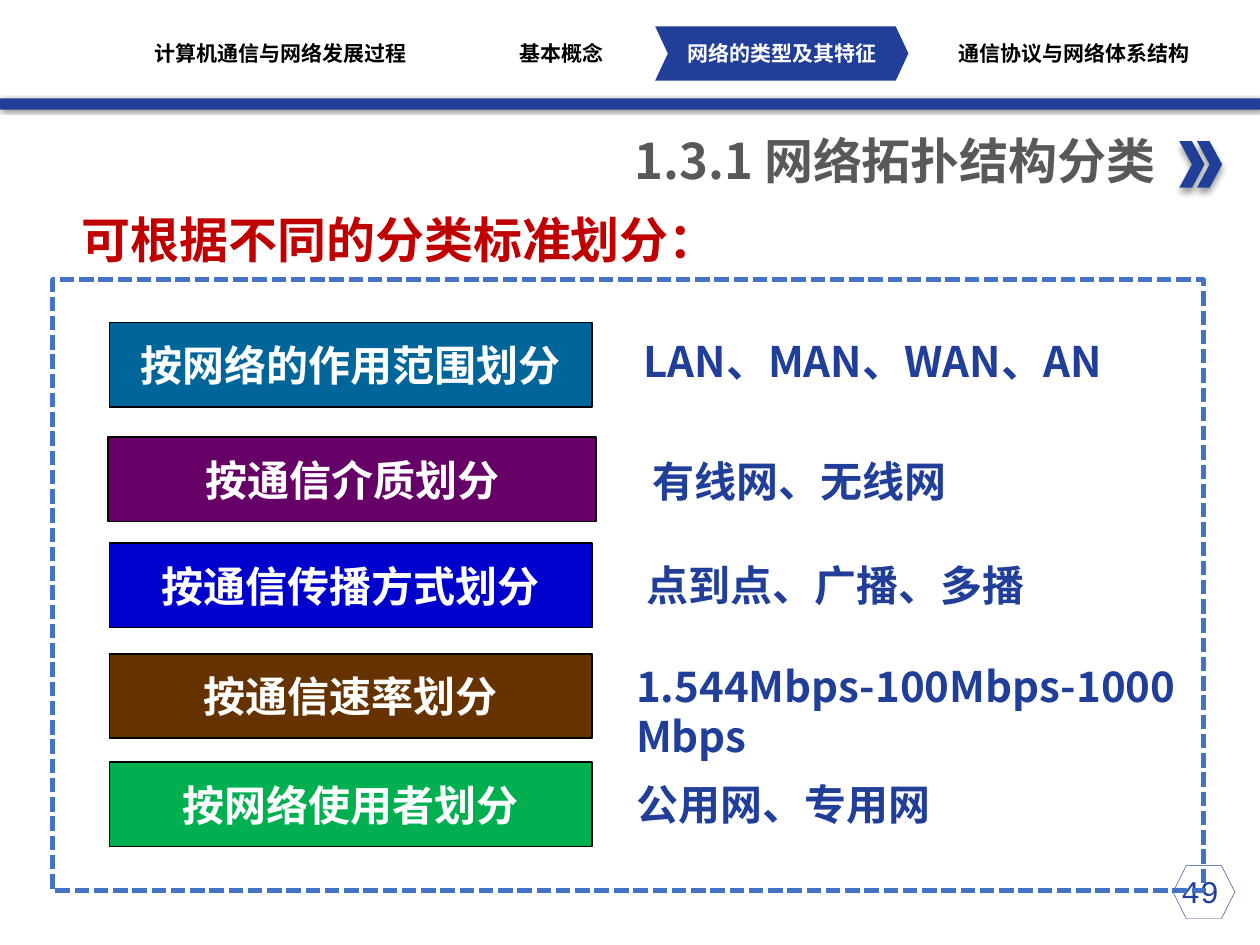
from lxml.etree import SubElement
from pptx import Presentation
from pptx.dml.color import RGBColor
from pptx.enum.dml import MSO_LINE
from pptx.enum.shapes import MSO_SHAPE as Shape
from pptx.enum.text import MSO_ANCHOR as Anchor, PP_ALIGN as Align
from pptx.oxml.ns import qn
from pptx.util import Inches, Pt

NAVY = RGBColor(0x21, 0x3F, 0x99)
FRAME_BLUE = RGBColor(0x44, 0x72, 0xC4)
GRAY = RGBColor(0x59, 0x59, 0x59)
RED = RGBColor(0xC0, 0x00, 0x00)
BLACK = RGBColor(0x00, 0x00, 0x00)
WHITE = RGBColor(0xFF, 0xFF, 0xFF)
TEAL = RGBColor(0x00, 0x66, 0x99)
PURPLE = RGBColor(0x66, 0x00, 0x66)
BLUE = RGBColor(0x00, 0x00, 0xCC)
BROWN = RGBColor(0x66, 0x33, 0x00)
GREEN = RGBColor(0x00, 0xB0, 0x50)

CJK_FONT = "Noto Sans CJK SC"
NAV_FONT = "Arial Narrow"

# text, left, width, colour
NAV_ITEMS = [
    ("计算机通信与网络发展过程", 1.1, 2.26, BLACK),
    ("基本概念", 3.73, 1.45, BLACK),
    ("网络的类型及其特征", 5.38, 1.65, WHITE),
    ("通信协议与网络体系结构", 7.27, 2.51, BLACK),
]
TITLE = "1.3.1 网络拓扑结构分类"
HEADING = "可根据不同的分类标准划分："
PAGE_NUMBER = "49"

# label, fill, (left, top, width) of label, kinds, (left, top, width) of kinds
CRITERIA = [
    ("按网络的作用范围划分", TEAL, (0.87, 2.56, 3.83),
     "LAN、MAN、WAN、AN", (5.01, 2.61, 4.49)),
    ("按通信介质划分", PURPLE, (0.86, 3.47, 3.87),
     "有线网、无线网", (5.08, 3.57, 2.97)),
    ("按通信传播方式划分", BLUE, (0.87, 4.31, 3.83),
     "点到点、广播、多播", (5.03, 4.39, 3.83)),
    ("按通信速率划分", BROWN, (0.87, 5.19, 3.83),
     "1.544Mbps-100Mbps-1000Mbps", (4.95, 5.19, 4.75)),
    ("按网络使用者划分", GREEN, (0.87, 6.05, 3.83),
     "公用网、专用网", (4.95, 6.13, 3.83)),
]
LABEL_HEIGHT = 0.67
KINDS_HEIGHT = 0.5


def add_block(page, kind, left, top, width, height, fill=None, line=None, weight=1):
    block = page.shapes.add_shape(
        kind, Inches(left), Inches(top), Inches(width), Inches(height))
    block.shadow.inherit = False
    if fill is None:
        block.fill.background()
    else:
        block.fill.solid()
        block.fill.fore_color.rgb = fill
    if line is None:
        block.line.fill.background()
    else:
        block.line.color.rgb = line
        block.line.width = Pt(weight)
    return block


def add_shadow(block, blur, distance, angle):
    effects = block._element.spPr.find(qn("a:effectLst"))
    shadow = SubElement(effects, qn("a:outerShdw"), blurRad=str(Pt(blur)),
                        dist=str(Pt(distance)), dir=str(angle * 60000),
                        algn="t", rotWithShape="0")
    color = SubElement(shadow, qn("a:srgbClr"), val="000000")
    SubElement(color, qn("a:alpha"), val="40000")


def write(box, text, size, color, align=Align.LEFT, font=CJK_FONT,
          bold=True, wrap=True, anchor=Anchor.TOP):
    frame = box.text_frame
    frame.word_wrap = wrap
    frame.vertical_anchor = anchor
    para = frame.paragraphs[0]
    para.text = text
    para.alignment = align
    para.font.name = font
    para.font.size = Pt(size)
    para.font.bold = bold
    para.font.color.rgb = color
    east_asian = SubElement(para.font._element, qn("a:ea"))
    east_asian.set("typeface", CJK_FONT)
    return frame


def add_text(page, left, top, width, height, *args, **options):
    box = page.shapes.add_textbox(
        Inches(left), Inches(top), Inches(width), Inches(height))
    return write(box, *args, **options)


def add_navigation(page):
    add_shadow(add_block(page, Shape.RECTANGLE, 0, 0.78, 10, 0.09, NAVY), 2, 1, 45)
    current = add_block(page, Shape.CHEVRON, 5.2, 0.21, 2.01, 0.43, NAVY)
    current.adjustments[0] = 0.234
    for text, left, width, color in NAV_ITEMS:
        frame = add_text(page, left, 0.32, width, 0.2, text, 12, color,
                         Align.CENTER, NAV_FONT, anchor=Anchor.MIDDLE)
        frame.margin_left = frame.margin_right = 0
        frame.margin_top = frame.margin_bottom = 0


def add_titles(page):
    for left in (9.36, 9.5):
        add_shadow(add_block(page, Shape.CHEVRON, left, 1.12, 0.2, 0.37, NAVY), 4, 3, 90)
    add_text(page, 3.11, 0.99, 6.16, 0.57, TITLE, 28, GRAY, Align.RIGHT)
    add_text(page, 0.55, 1.61, 5.38, 0.57, HEADING, 28, RED, wrap=False)


def add_criteria(page):
    border = add_block(page, Shape.RECTANGLE, 0.42, 2.22, 9.13, 4.85,
                       line=FRAME_BLUE, weight=2.75)
    border.line.dash_style = MSO_LINE.SQUARE_DOT
    for label, fill, label_place, kinds, kinds_place in CRITERIA:
        block = add_block(page, Shape.RECTANGLE, *label_place, LABEL_HEIGHT, fill, BLACK)
        write(block, label, 24, WHITE, Align.CENTER, wrap=False, anchor=Anchor.MIDDLE)
        add_text(page, *kinds_place, KINDS_HEIGHT, kinds, 24, NAVY)


def main():
    deck = Presentation()
    deck.slide_width, deck.slide_height = Inches(10), Inches(7.5)
    page = deck.slides.add_slide(deck.slide_layouts[6])
    add_block(page, Shape.HEXAGON, 9.31, 6.87, 0.49, 0.42, line=NAVY, weight=0.25)
    add_text(page, 9.09, 6.87, 0.87, 0.4, PAGE_NUMBER, 18, NAVY,
             Align.CENTER, "Courier New", bold=False)
    add_navigation(page)
    add_titles(page)
    add_criteria(page)
    deck.save("out.pptx")


if __name__ == "__main__":
    main()
